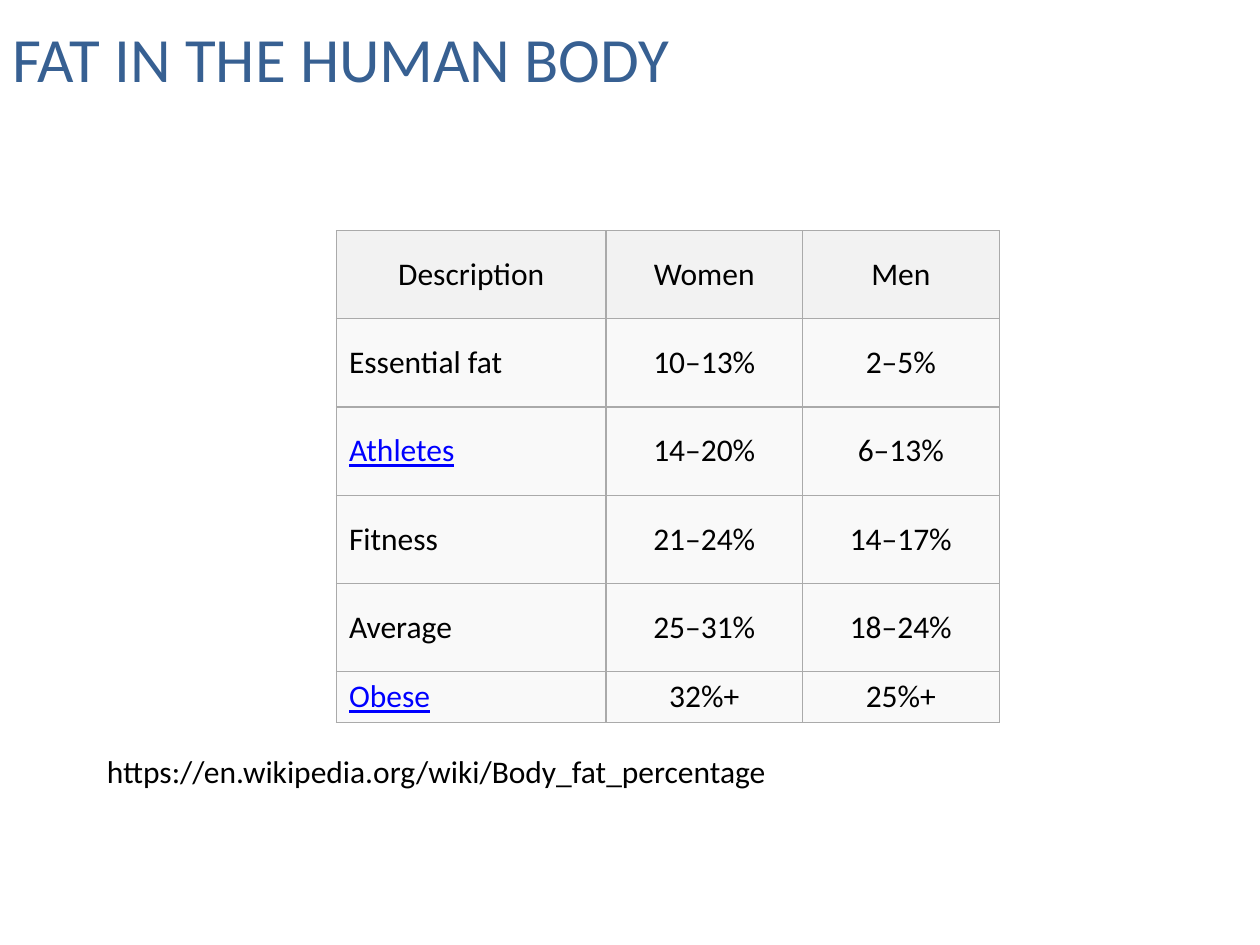
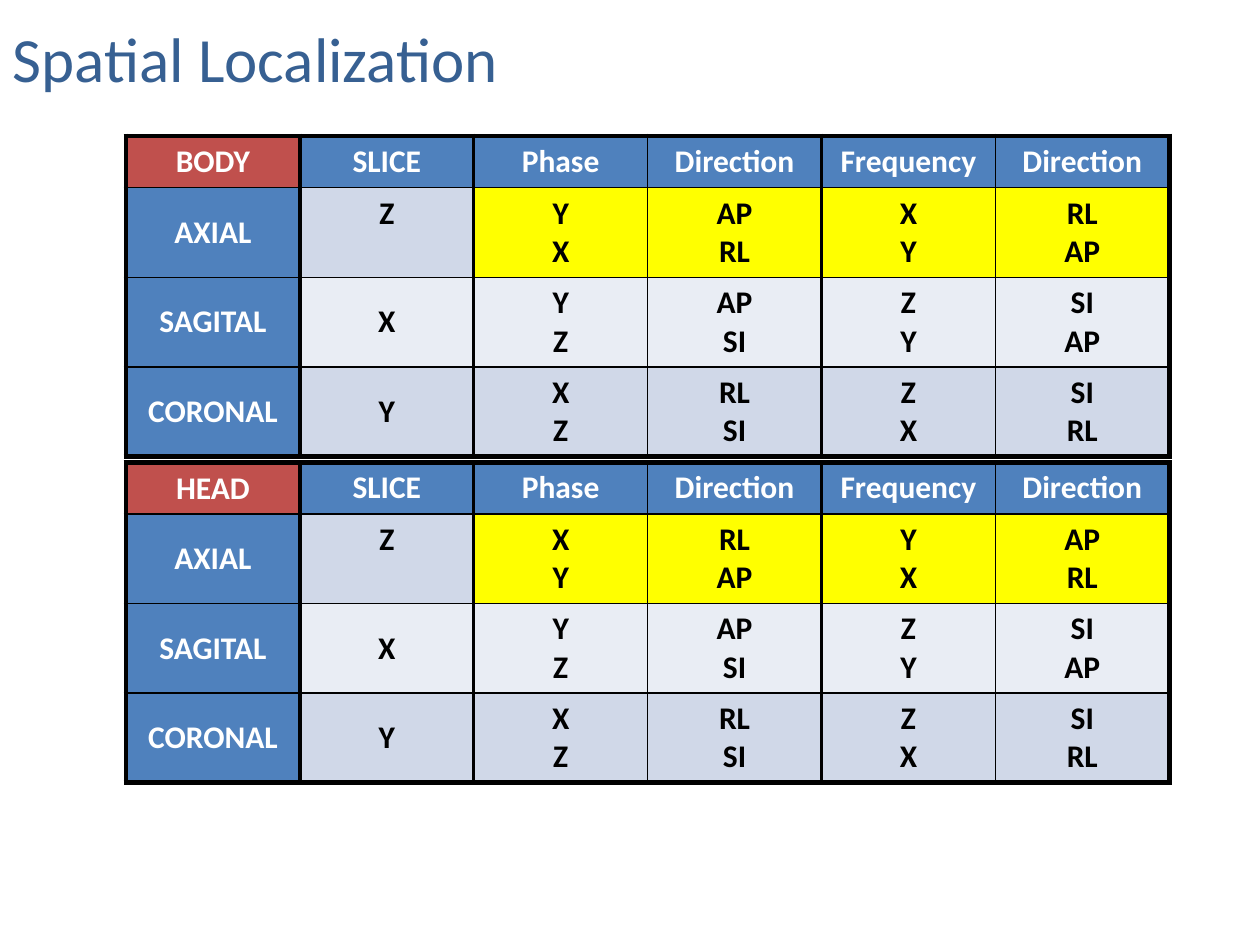
"""Build two slides of tables on body fat and spatial localization."""
from dataclasses import dataclass

from lxml import etree
from pptx import Presentation
from pptx.dml.color import RGBColor
from pptx.enum import text
from pptx.oxml import ns
from pptx.util import Inches, Pt

MIDDLE, TOP = text.MSO_ANCHOR.MIDDLE, text.MSO_ANCHOR.TOP
LEFT, CENTER = text.PP_ALIGN.LEFT, text.PP_ALIGN.CENTER


@dataclass(frozen=True)
class Theme:
    """Colours, font and type sizes."""
    font: str = "Calibri"
    title_size: int = 36
    body_size: int = 18
    title: str = "376092"
    ink: str = "000000"
    paper: str = "FFFFFF"
    link: str = "0000FF"
    grid: str = "AAAAAA"
    fat_head: str = "F2F2F2"
    fat_row: str = "F9F9F9"
    region: str = "C0504D"
    head: str = "4F81BD"
    highlight: str = "FFFF00"
    band_dark: str = "D0D8E8"
    band_light: str = "E9EDF4"


def apply(target, values):
    """Set each named value on the target."""
    for name, value in values.items():
        setattr(target, name, value)


class Deck:
    """Hold the theme and the current slide, and draw its elements."""

    def __init__(self, theme):
        """Start a 10 by 7.5 inch presentation."""
        self.theme = theme
        self.show = Presentation()
        apply(self.show, {"slide_width": Inches(10), "slide_height": Inches(7.5)})
        self.slide = None

    def set_lines(self, frame, lines, color, size=None, align=LEFT, **font):
        """Fill a text frame with one paragraph per line."""
        frame.text = "\n".join(lines)
        look = {"name": self.theme.font, "size": Pt(size or self.theme.body_size), **font}
        for paragraph in frame.paragraphs:
            paragraph.alignment = align
            apply(paragraph.font, look)
            paragraph.font.color.rgb = RGBColor.from_string(color)

    def add_slide(self, heading):
        """Add a slide and place its title."""
        self.slide = self.show.slides.add_slide(self.show.slide_layouts[5])
        title = self.slide.shapes.title
        apply(title, {"left": Inches(0), "top": Inches(0.08),
                      "width": Inches(10), "height": Inches(0.75)})
        apply(title.text_frame, {"vertical_anchor": MIDDLE,
                                 "auto_size": text.MSO_AUTO_SIZE.NONE})
        self.set_lines(title.text_frame, [heading], self.theme.title, self.theme.title_size)

    def add_text(self, line, left, top, width, height):
        """Add a wrapped text box."""
        frame = self.slide.shapes.add_textbox(
            *map(Inches, (left, top, width, height))).text_frame
        frame.word_wrap = True
        self.set_lines(frame, [line], self.theme.ink)

    def add_table(self, left, top, widths, heights):
        """Add a plain table with the given column widths and row heights."""
        table = self.slide.shapes.add_table(
            len(heights), len(widths),
            *map(Inches, (left, top, sum(widths), sum(heights)))).table
        apply(table, {"first_row": False, "horz_banding": False})
        for column, width in zip(table.columns, widths):
            column.width = Inches(width)
        for row, height in zip(table.rows, heights):
            row.height = Inches(height)
        return table

    def fill_cell(self, cell, lines, fill, color, anchor, borders, border_color, **look):
        """Fill and outline a cell; borders run left, right, top, bottom."""
        self.set_lines(cell.text_frame, lines, color, **look)
        cell.vertical_anchor = anchor
        cell.fill.solid()
        cell.fill.fore_color.rgb = RGBColor.from_string(fill)
        properties = cell._tc.get_or_add_tcPr()
        for place, (side, points) in enumerate(zip("LRTB", borders)):
            line = etree.Element(ns.qn(f"a:ln{side}"), w=str(Pt(points)))
            solid = etree.SubElement(line, ns.qn("a:solidFill"))
            etree.SubElement(solid, ns.qn("a:srgbClr"), val=border_color)
            properties.insert(place, line)

    def add_fat_table(self, rows, linked):
        """Add the table of body fat ranges."""
        theme = self.theme
        table = self.add_table(2.67, 1.83, [2.14, 1.56, 1.56], [0.7] * 5 + [0.4])
        for r, row in enumerate(rows):
            for c, value in enumerate(row):
                is_link = value in linked
                self.fill_cell(
                    table.cell(r, c), [value],
                    theme.fat_row if r else theme.fat_head,
                    theme.link if is_link else theme.ink,
                    MIDDLE, [0.75] * 4, theme.grid,
                    align=LEFT if r and c == 0 else CENTER, underline=is_link)

    def add_axis_table(self, top, region, planes):
        """Add the table of slice, phase and frequency axes for one region."""
        theme = self.theme
        table = self.add_table(1, top, [1.38] * 6, [0.41] + [0.7] * 3)
        upright = [3, 2.25, 2.25, 1, 2.25, 1, 3]
        level = [3, 1, 1, 1, 3]
        header = [region, "SLICE", "Phase", "Direction", "Frequency", "Direction"]
        for r, row in enumerate([header, *planes]):
            for c, value in enumerate(row):
                is_label = r == 0 or c == 0
                if is_label:
                    fill = theme.head if r or c else theme.region
                elif r == 1 and c > 1:
                    fill = theme.highlight
                else:
                    fill = theme.band_dark if r % 2 else theme.band_light
                centred = c == 0 or (c == 1 and r > 1)
                self.fill_cell(
                    table.cell(r, c), value.split("/"), fill,
                    theme.paper if is_label else theme.ink,
                    MIDDLE if centred else TOP,
                    [*upright[c:c + 2], *level[r:r + 2]], theme.ink,
                    align=CENTER, bold=True)


FAT_RANGES = [
    ("Description", "Women", "Men"),
    ("Essential fat", "10–13%", "2–5%"),
    ("Athletes", "14–20%", "6–13%"),
    ("Fitness", "21–24%", "14–17%"),
    ("Average", "25–31%", "18–24%"),
    ("Obese", "32%+", "25%+"),
]
BODY_AXIAL = ("AXIAL", "Z", "Y/X", "AP/RL", "X/Y", "RL/AP")
HEAD_AXIAL = ("AXIAL", "Z", "X/Y", "RL/AP", "Y/X", "AP/RL")
OTHER_PLANES = [
    ("SAGITAL", "X", "Y/Z", "AP/SI", "Z/Y", "SI/AP"),
    ("CORONAL", "Y", "X/Z", "RL/SI", "Z/X", "SI/RL"),
]


def main():
    """Build both slides and save them."""
    deck = Deck(Theme())
    deck.add_slide("FAT IN THE HUMAN BODY")
    deck.add_fat_table(FAT_RANGES, {"Athletes", "Obese"})
    deck.add_text("https://en.wikipedia.org/wiki/Body_fat_percentage", 0.75, 5.92, 6.67, 0.4)

    deck.add_slide("Spatial Localization")
    deck.add_axis_table(1.08, "BODY", [BODY_AXIAL, *OTHER_PLANES])
    deck.add_axis_table(3.67, "HEAD", [HEAD_AXIAL, *OTHER_PLANES])
    deck.show.save("out.pptx")


if __name__ == "__main__":
    main()
